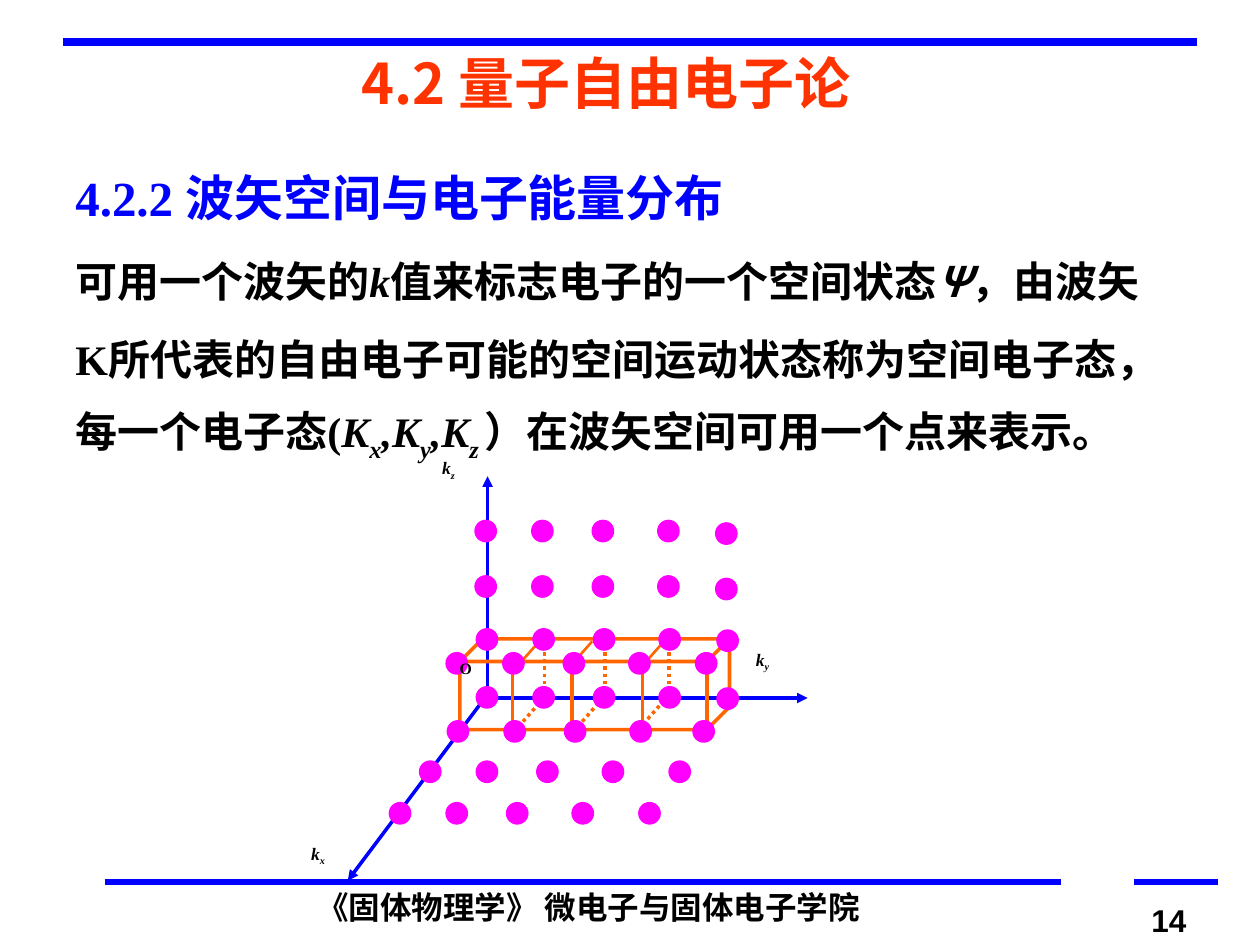
from dataclasses import dataclass

from lxml.etree import SubElement
from pptx import Presentation
from pptx.dml.color import RGBColor
from pptx.enum.dml import MSO_LINE
from pptx.enum.shapes import MSO_CONNECTOR, MSO_SHAPE
from pptx.enum.text import MSO_ANCHOR, PP_ALIGN
from pptx.oxml.ns import qn
from pptx.util import Inches, Pt


@dataclass(frozen=True)
class Theme:
    blue: str = "0000FF"
    orange: str = "FF6600"
    magenta: str = "FF00FF"
    red: str = "FF3300"
    black: str = "000000"
    serif: str = "Times New Roman"
    sans: str = "Arial"
    cjk: str = "Noto Sans CJK SC"
    title: int = 32
    heading: int = 28
    body: int = 24
    footer: int = 18
    axis: int = 10
    origin: int = 9


T = Theme()

BODY_RUNS = [
    ("可用一个波矢的", ""), ("k", "i"), ("值来标志电子的一个空间状态", ""), ("Ψ", "ic"),
    ("，由波矢K所代表的自由电子可能的空间运动状态称为空间电子态，每一个电子态(", ""),
    ("K", "i"), ("x", "is"), (",K", "i"), ("y", "is"), (",K", "i"), ("z ", "is"),
    ("）在波矢空间可用一个点来表示。", ""),
]


def add_line(shapes, x1, y1, x2, y2, color, width, dotted=False, arrow=False):
    c = shapes.add_connector(MSO_CONNECTOR.STRAIGHT, Inches(x1), Inches(y1),
                             Inches(x2), Inches(y2))
    c.line.color.rgb = RGBColor.from_string(color)
    c.line.width = Pt(width)
    if dotted:
        c.line.dash_style = MSO_LINE.ROUND_DOT
    if arrow:
        SubElement(c.line._get_or_add_ln(), qn("a:tailEnd"), type="triangle")
    SubElement(c._element.spPr, qn("a:effectLst"))


def add_box(shapes, x, y, w, h, anchor=MSO_ANCHOR.TOP):
    tf = shapes.add_textbox(Inches(x), Inches(y), Inches(w), Inches(h)).text_frame
    tf.word_wrap = True
    tf.vertical_anchor = anchor
    return tf


def add_runs(p, runs, size, color, font):
    """Add (text, flags) runs: i is italic, s is subscript, c is the CJK font."""
    for text, flags in runs:
        r = p.add_run()
        r.text = text
        f = r.font
        f.size, f.bold, f.italic = Pt(size), True, "i" in flags
        f.color.rgb = RGBColor.from_string(color)
        f.name = T.cjk if "c" in flags else font
        SubElement(f._element, qn("a:ea"), typeface=T.cjk)
        if "s" in flags:
            f._element.set("baseline", "-25000")


def add_text(shapes, box, text, size, color, font, anchor=MSO_ANCHOR.TOP):
    p = add_box(shapes, *box, anchor).paragraphs[0]
    add_runs(p, [(text, "")], size, color, font)


def add_dot_row(shapes, x, y, last, drop=0):
    """Place five lattice points; the last has its own offset and drop."""
    for dx, dy in [(0, 0), (0.45, 0), (0.93, 0), (1.45, 0), (last, drop)]:
        sp = shapes.add_shape(MSO_SHAPE.OVAL, Inches(x + dx), Inches(y + dy),
                              Inches(0.17), Inches(0.17))
        sp.shadow.inherit = False
        sp.fill.solid()
        sp.fill.fore_color.rgb = RGBColor.from_string(T.magenta)
        sp.line.color.rgb = RGBColor.from_string(T.magenta)
        sp.line.width = Pt(0.75)


def add_axis_label(shapes, x, y, axis):
    p = add_box(shapes, x, y, 0.85, 0.59).paragraphs[0]
    p.alignment = PP_ALIGN.JUSTIFY
    add_runs(p, [("k", "i"), (axis, "is")], T.axis, T.black, T.serif)


def add_cell_box(shapes):
    sp = shapes.add_shape(MSO_SHAPE.CUBE, Inches(3.65), Inches(5.07),
                          Inches(2.14), Inches(0.72))
    sp.adjustments[0] = 0.25
    sp.shadow.inherit = False
    sp.fill.background()
    sp.line.color.rgb = RGBColor.from_string(T.orange)
    sp.line.width = Pt(2)


def add_frame(shapes):
    add_line(shapes, 0.5, 0.33, 9.5, 0.33, T.blue, 4.5)
    add_text(shapes, (2.42, 7, 4.6, 0.4), "《固体物理学》 微电子与固体电子学院",
             T.footer, T.black, T.cjk, MSO_ANCHOR.MIDDLE)
    for x1, x2 in [(0.83, 8.42), (9, 9.67)]:
        add_line(shapes, x1, 7, x2, 7, T.blue, 3)
    add_text(shapes, (9.04, 7.1, 1.41, 0.4), "14", T.footer, T.black, T.sans)


def add_body(shapes):
    tf = add_box(shapes, 0.5, 1.25, 8.83, 5.5)
    p = tf.paragraphs[0]
    p.line_spacing = Pt(36)
    add_runs(p, [("4.2.2 波矢空间与电子能量分布", "")], T.heading, T.blue, T.serif)
    p = tf.add_paragraph()
    p.line_spacing = Pt(45)
    add_runs(p, BODY_RUNS, T.body, T.black, T.serif)


def add_lattice(shapes):
    for x, y in [(4.28, 5.58), (4.75, 5.58), (5.27, 5.56)]:
        add_line(shapes, x, y, x - 0.15, y + 0.17, T.orange, 2, dotted=True)
    for x in (4.32, 4.8, 5.31):
        add_line(shapes, x, 5.01, x, 5.6, T.orange, 2, dotted=True)
    add_line(shapes, 3.87, 5.54, 6.41, 5.54, T.blue, 2, arrow=True)
    for x in (4.07, 4.54, 5.1):
        add_line(shapes, x, 5.25, x, 5.84, T.orange, 1.75)
    for x in (4.28, 4.7, 5.27):
        add_line(shapes, x, 5.09, x - 0.15, 5.26, T.orange, 1.5)
    add_line(shapes, 3.87, 5.54, 3.87, 3.78, T.blue, 2, arrow=True)
    add_line(shapes, 3.84, 5.55, 2.76, 6.99, T.blue, 2, arrow=True)
    add_cell_box(shapes)

    for x, y, drop in [(3.78, 5.45, 0.01), (3.78, 4.99, 0.01),
                       (3.77, 4.57, 0.02), (3.77, 4.13, 0.02)]:
        add_dot_row(shapes, x, y, 1.91, drop)
    for x, y, last in [(3.55, 5.72, 1.95), (3.33, 6.04, 1.98),
                       (3.09, 6.37, 1.98), (3.54, 5.18, 1.98)]:
        add_dot_row(shapes, x, y, last)

    for x, y, axis in [(2.37, 6.64, "x"), (5.9, 5.1, "y"), (3.41, 3.58, "z")]:
        add_axis_label(shapes, x, y, axis)
    add_text(shapes, (3.55, 5.18, 0.85, 0.73), "O", T.origin, T.black, T.serif)


def main():
    prs = Presentation()
    prs.slide_width, prs.slide_height = Inches(10), Inches(7.5)
    s = prs.slides.add_slide(prs.slide_layouts[6])
    add_frame(s.shapes)
    add_body(s.shapes)
    add_text(s.shapes, (2.77, 0.33, 4.9, 0.64), "4.2 量子自由电子论",
             T.title, T.red, T.cjk, MSO_ANCHOR.MIDDLE)
    add_lattice(s.shapes.add_group_shape().shapes)
    prs.save("out.pptx")


if __name__ == "__main__":
    main()
